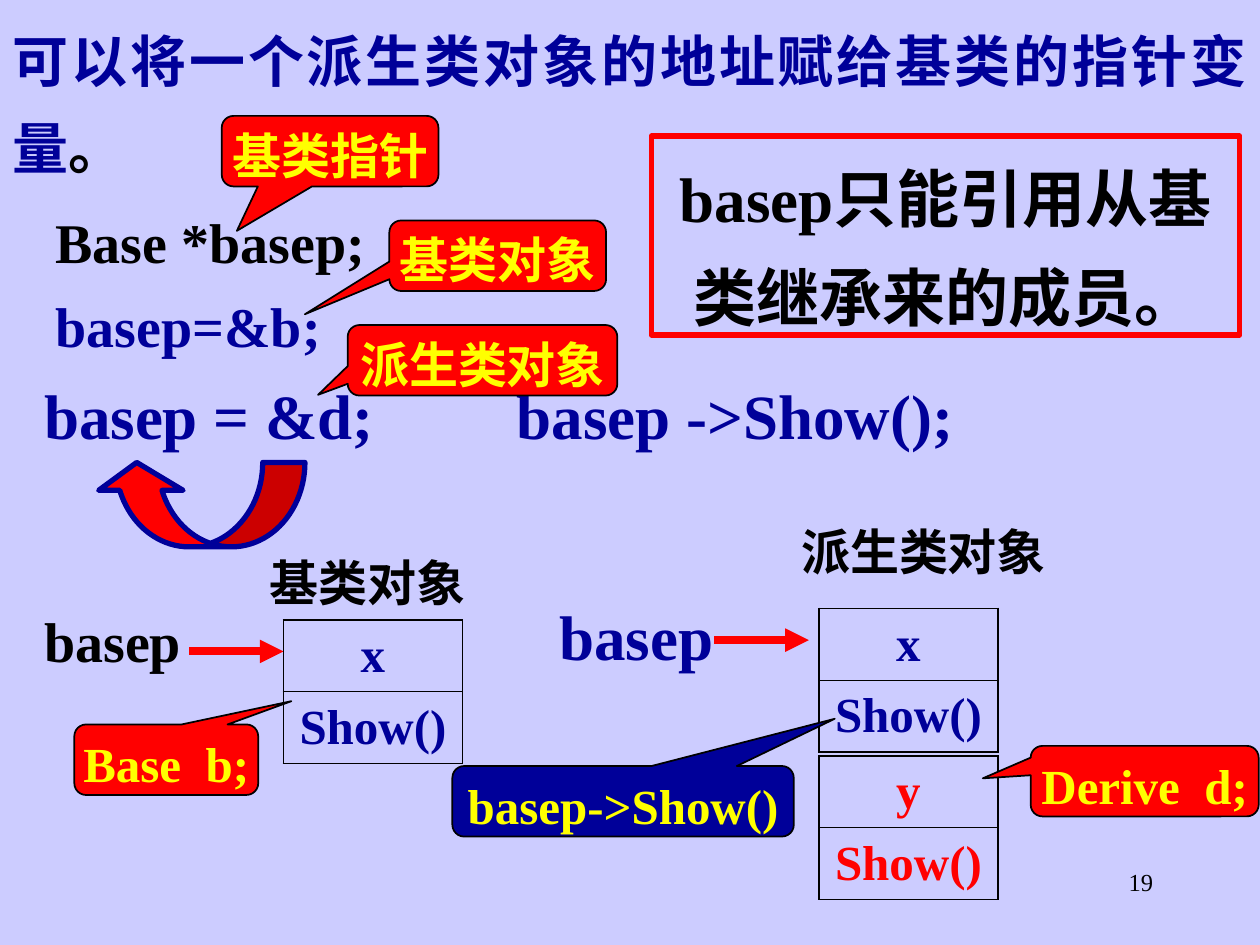
from lxml.etree import SubElement
from pptx import Presentation
from pptx.dml.color import RGBColor
from pptx.enum.lang import MSO_LANGUAGE_ID
from pptx.enum.shapes import MSO_CONNECTOR, MSO_SHAPE
from pptx.enum.text import MSO_ANCHOR, MSO_AUTO_SIZE, PP_ALIGN
from pptx.oxml.ns import qn
from pptx.util import Inches, Pt

THEME = {
    "font": "Times New Roman",
    "paper": "CCCCFF", "black": "000000", "navy": "000099",
    "red": "FF0000", "yellow": "FFFF00",
    "large": 36, "body": 32, "label": 28, "small": 14,
}

TITLE = [("可以将一个派生类对象的地址赋给基类的指针变量", "navy"), ("。", "black")]
RULE = "basep只能引用从基类继承来的成员。"
PAGE_NUMBER = "19"

STATEMENTS = [
    ("Base *basep;", (0.42, 1.58, 3, 0.61), "body", "black"),
    ("basep=&b;", (0.42, 2.25, 3, 0.61), "body", "navy"),
    ("basep = &d;", (0.33, 2.92, 2.67, 0.68), "large", "navy"),
    ("basep ->Show();", (4.08, 2.92, 4.5, 0.68), "large", "navy"),
    ("basep", (0.33, 4.75, 1.25, 0.61), "body", "black"),
    ("basep", (4.42, 4.67, 1.42, 0.68), "large", "navy"),
]
OBJECT_LABELS = [
    ("基类对象", (2.08, 4.33, 1.67, 0.54)),
    ("派生类对象", (6.33, 4.08, 2, 0.54)),
]
POINTERS = [(1.5, 5.17), (5.67, 5.08)]
POINTER_LENGTH = 0.75
MEMBER_TABLES = [
    (["x", "Show()"], 2.25, 4.92, "navy"),
    (["x", "Show()"], 6.5, 4.83, "navy"),
    (["y", "Show()"], 6.5, 6, "red"),
]
MEMBER_WIDTH, MEMBER_HEIGHT = 1.42, 0.57
CALLOUTS = [
    ("Base  b;", 0.59, 5.75, 1.46, (0.68, -0.83), "red"),
    ("Derive  d;", 8.18, 5.92, 1.81, (-0.71, -0.04), "red"),
    ("basep->Show()", 3.59, 6.08, 2.71, (0.62, -1.17), "navy"),
    ("基类指针", 1.76, 0.92, 1.72, (-0.43, 1.13), "red"),
    ("派生类对象", 2.76, 2.58, 2.14, (-0.61, 0.49), "red"),
    ("基类对象", 3.09, 1.75, 1.72, (-0.89, 0.83), "red"),
]
CALLOUT_HEIGHT = 0.56


def color(name):
    return RGBColor.from_string(THEME[name])


def inches(box):
    return [Inches(length) for length in box]


def write(frame, text, *, size="label", ink="black", bold=True, align=PP_ALIGN.LEFT,
          spacing=1.1, margins=(0.02, 0.01), wrap=True, grow=True):
    frame.word_wrap = wrap
    frame.auto_size = MSO_AUTO_SIZE.SHAPE_TO_FIT_TEXT if grow else MSO_AUTO_SIZE.NONE
    frame.vertical_anchor = MSO_ANCHOR.TOP
    frame.margin_left = frame.margin_right = Inches(margins[0])
    frame.margin_top = frame.margin_bottom = Inches(margins[1])
    paragraph = frame.paragraphs[0]
    paragraph.alignment = align
    paragraph.line_spacing = spacing
    paragraph._p.get_or_add_pPr().set("hangingPunct", "0")
    for part, part_ink in [(text, ink)] if isinstance(text, str) else text:
        run = paragraph.add_run()
        run.text = part
        run.font.name = THEME["font"]
        run.font.size = Pt(THEME[size])
        run.font.bold = bold
        run.font.color.rgb = color(part_ink)
        run.font.language_id = MSO_LANGUAGE_ID.SIMPLIFIED_CHINESE


def add_text(slide, text, box, **style):
    write(slide.shapes.add_textbox(*inches(box)).text_frame, text, **style)


def add_outlined(slide, preset, box, fill, line, width):
    shape = slide.shapes.add_shape(preset, *inches(box))
    shape.shadow.inherit = False
    if fill:
        shape.fill.solid()
        shape.fill.fore_color.rgb = color(fill)
    else:
        shape.fill.background()
    shape.line.color.rgb = color(line)
    shape.line.width = Pt(width)
    return shape


def add_callout(slide, text, left, top, width, tip, fill):
    callout = add_outlined(slide, MSO_SHAPE.ROUNDED_RECTANGULAR_CALLOUT,
                           (left, top, width, CALLOUT_HEIGHT), fill, "black", 1)
    callout.adjustments[0], callout.adjustments[1] = tip
    write(callout.text_frame, text, ink="yellow", align=PP_ALIGN.CENTER,
          margins=(0.02, 0), wrap=False)


def add_pointer(slide, left, top):
    pointer = slide.shapes.add_connector(
        MSO_CONNECTOR.STRAIGHT, *inches((left, top, left + POINTER_LENGTH, top)))
    pointer.line.color.rgb = color("red")
    pointer.line.width = Pt(4.5)
    SubElement(pointer.line._get_or_add_ln(), qn("a:tailEnd"), type="triangle")
    SubElement(pointer._element.spPr, qn("a:effectLst"))


def set_borders(cell, widths):
    properties = cell._tc.get_or_add_tcPr()
    for side, width in zip("LRTB", widths):
        border = SubElement(properties, qn(f"a:ln{side}"), w=str(Pt(width)))
        fill = SubElement(border, qn("a:solidFill"))
        SubElement(fill, qn("a:srgbClr"), val=THEME["black"])


def add_members(slide, members, left, top, ink):
    box = (left, top, MEMBER_WIDTH, MEMBER_HEIGHT * len(members))
    table = slide.shapes.add_table(len(members), 1, *inches(box)).table
    table.first_row = table.horz_banding = False
    outer, inner = 1.08, 0.45
    for index, member in enumerate(members):
        table.rows[index].height = Inches(MEMBER_HEIGHT)
        cell = table.cell(index, 0)
        above = outer if index == 0 else inner
        below = outer if index == len(members) - 1 else inner
        set_borders(cell, (outer, outer, above, below))
        cell.fill.background()
        write(cell.text_frame, member, ink=ink, align=PP_ALIGN.CENTER, spacing=1.0,
              grow=False)
        cell.margin_left = cell.margin_right = Inches(0.1)
        cell.margin_top = cell.margin_bottom = Inches(0.05)
        cell.vertical_anchor = MSO_ANCHOR.MIDDLE


def main():
    deck = Presentation()
    deck.slide_width, deck.slide_height = Inches(10), Inches(7.5)
    slide = deck.slides.add_slide(deck.slide_layouts[6])
    slide.background.fill.solid()
    slide.background.fill.fore_color.rgb = color("paper")

    add_text(slide, PAGE_NUMBER, (7.17, 6.83, 2.08, 0.5), size="small", bold=False,
             align=PP_ALIGN.RIGHT, spacing=1.0, margins=(0.1, 0.05), grow=False)
    add_text(slide, TITLE, (0, 0, 10, 0.8), size="body", align=PP_ALIGN.JUSTIFY,
             spacing=1.3, margins=(0.1, 0.05))
    for text, box in OBJECT_LABELS:
        add_text(slide, text, box, align=PP_ALIGN.CENTER)
    for text, box, size, ink in STATEMENTS:
        add_text(slide, text, box, size=size, ink=ink)
    for start in POINTERS:
        add_pointer(slide, *start)

    assignment = add_outlined(slide, MSO_SHAPE.CURVED_DOWN_ARROW,
                              (0.75, 3.67, 1.67, 0.67), "red", "navy", 3)
    assignment.rotation = 180
    for index, proportion in enumerate((0.5, 1, 0.33)):
        assignment.adjustments[index] = proportion

    rule = add_outlined(slide, MSO_SHAPE.RECTANGLE, (5.17, 1.08, 4.67, 1.58),
                        None, "red", 3)
    write(rule.text_frame, RULE, size="large", align=PP_ALIGN.CENTER, spacing=1.3)

    for members in MEMBER_TABLES:
        add_members(slide, *members)
    for callout in CALLOUTS:
        add_callout(slide, *callout)
    deck.save("out.pptx")


if __name__ == "__main__":
    main()
